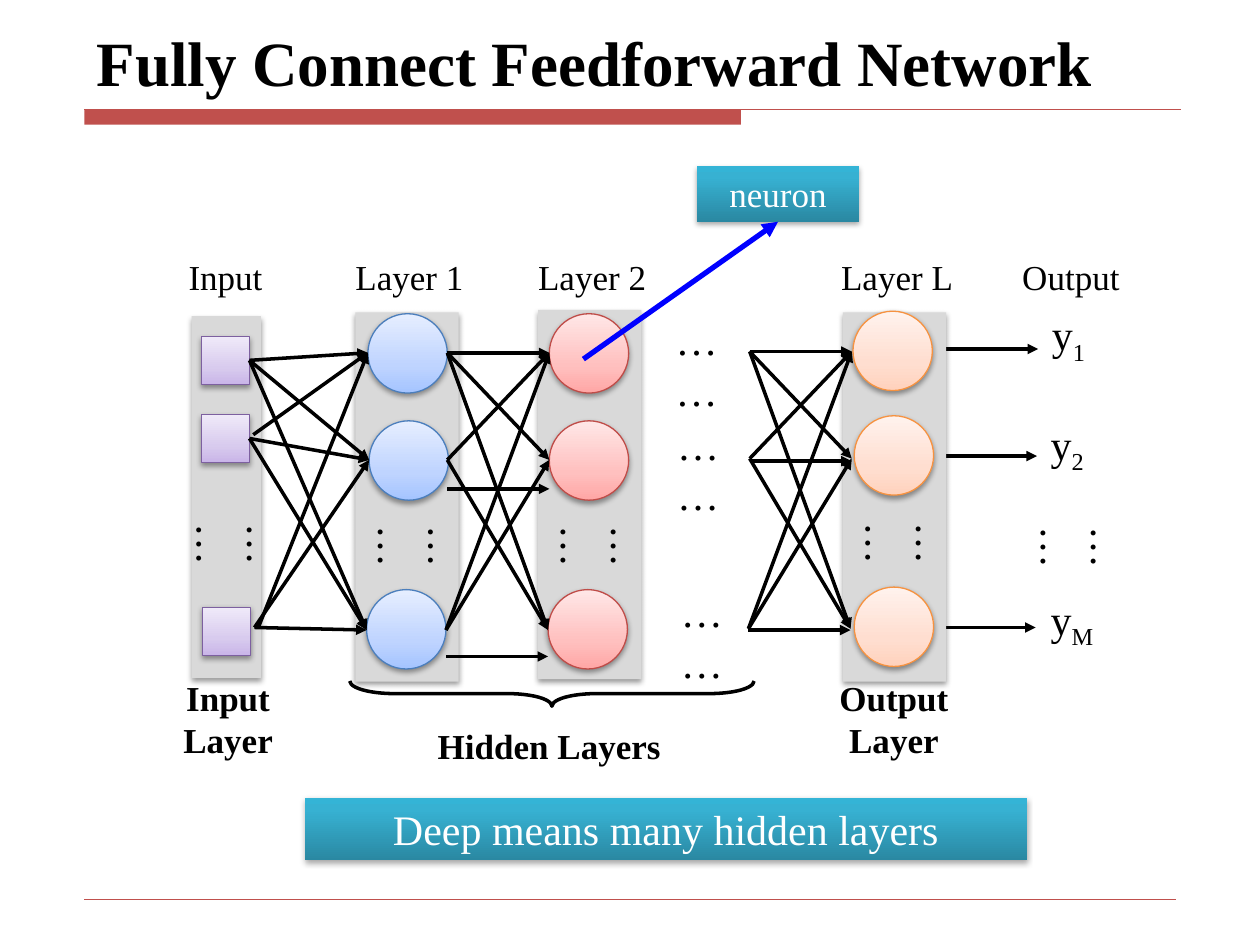
from copy import deepcopy
from dataclasses import dataclass

from lxml.etree import SubElement
from pptx import Presentation
from pptx.dml.color import RGBColor
from pptx.enum.shapes import MSO_CONNECTOR as Connector, MSO_SHAPE as Shape
from pptx.enum.text import MSO_ANCHOR as Anchor, MSO_AUTO_SIZE as AutoSize, PP_ALIGN as Align
from pptx.oxml.ns import qn
from pptx.util import Pt

SCALE = 9144  # EMU in one px, at 100 px to the inch
RIGHT, BOTTOM = 3, 2


@dataclass(frozen=True)
class Theme:
    font: str = "Times New Roman"
    title: int = 36
    large: int = 24
    label: int = 20
    ink: str = "000000"
    white: str = "FFFFFF"
    accent: str = "C0504D"
    pointer: str = "0000FF"
    band: str = "D9D9D9"
    # Gradients run upwards as (position, colour)
    purple: tuple = ((0, "C9B5E8"), (0.35, "D8CBEE"), (1, "F0EAF9"))
    purple_line: str = "7D60A0"
    blue: tuple = ((0, "A4C4FF"), (0.35, "BFD4FF"), (1, "E6EEFF"))
    blue_line: str = "4B7EBC"
    red: tuple = ((0, "FFA6A5"), (0.35, "FFC0BF"), (1, "FFE7E7"))
    red_line: str = "BF4C48"
    orange: tuple = ((0, "FFD2BD"), (0.35, "FFDED0"), (1, "FFF2ED"))
    orange_line: str = "F69240"
    teal: tuple = ((0, "2A88A2"), (0.8, "37B1D2"), (1, "34B4D6"))


def emu(*lengths):
    return [length * SCALE for length in lengths]


class Canvas:
    def __init__(self, slide, theme):
        self.slide = slide
        self.theme = theme

    def fill_frame(self, frame, runs, size, color, bold=False, align=Align.CENTER):
        """Fill a text frame from (text, is_subscript) runs."""
        frame.word_wrap = True
        frame.vertical_anchor = Anchor.TOP
        paragraph = frame.paragraphs[0]
        paragraph.alignment = align
        for text, subscript in runs:
            run = paragraph.add_run()
            run.text = text
            run.font.name = self.theme.font
            run.font.size = Pt(size)
            run.font.bold = bold
            run.font.color.rgb = RGBColor.from_string(color)
            if subscript:
                run.font._element.set("baseline", "-25000")

    def text(self, box, *runs, size=None, bold=False, align=Align.CENTER, rotation=0):
        shape = self.slide.shapes.add_textbox(*emu(*box))
        shape.rotation = rotation
        self.fill_frame(shape.text_frame, runs, size or self.theme.label,
                        self.theme.ink, bold, align)
        shape.text_frame.auto_size = AutoSize.SHAPE_TO_FIT_TEXT
        return shape

    def dots(self, left, top, rotation=0):
        self.text((left, top, 84, 91), ("……", False), size=self.theme.large, rotation=rotation)

    def shape(self, kind, box, fill=None, line=None, width=0.75, shadow=0):
        """Draw a preset shape; shadow is its opacity in percent."""
        shape = self.slide.shapes.add_shape(kind, *emu(*box))
        if fill is None:
            shape.fill.background()
        elif isinstance(fill, str):
            shape.fill.solid()
            shape.fill.fore_color.rgb = RGBColor.from_string(fill)
        else:
            self.gradient(shape, fill)
        if line:
            shape.line.color.rgb = RGBColor.from_string(line)
            shape.line.width = Pt(width)
        else:
            shape.line.fill.background()
        shape.shadow.inherit = False
        if shadow:
            effects = shape._element.spPr.find(qn("a:effectLst"))
            outer = SubElement(effects, qn("a:outerShdw"), blurRad="40000", dist="20000",
                               dir="5400000", rotWithShape="0")
            color = SubElement(outer, qn("a:srgbClr"), val=self.theme.ink)
            SubElement(color, qn("a:alpha"), val=str(shadow * 1000))
        return shape

    def gradient(self, shape, stops):
        shape.fill.gradient()
        shape.fill.gradient_angle = 90
        stop_list = shape._element.spPr.find(qn("a:gradFill")).find(qn("a:gsLst"))
        stop_list.append(deepcopy(stop_list[-1]))
        for stop, (position, color) in zip(shape.fill.gradient_stops, stops):
            stop.position = position
            stop.color.rgb = RGBColor.from_string(color)

    def banner(self, box, text, size):
        shape = self.shape(Shape.RECTANGLE, box, self.theme.teal, shadow=35)
        self.fill_frame(shape.text_frame, [(text, False)], size, self.theme.white)
        return shape

    def line(self, start, end, color=None, width=2, arrow=True):
        connector = self.slide.shapes.add_connector(Connector.STRAIGHT, *emu(*start, *end))
        connector.line.color.rgb = RGBColor.from_string(color or self.theme.ink)
        connector.line.width = Pt(width)
        properties = connector._element.spPr
        if arrow:
            SubElement(properties.find(qn("a:ln")), qn("a:tailEnd"), type="triangle")
        SubElement(properties, qn("a:effectLst"))
        return connector

    def layer(self, name, left, top, circles, fill, line):
        self.shape(Shape.RECTANGLE, (left, top, 82, 293), self.theme.band, shadow=38)
        self.text((left - 19, 198, 124, 44), (name, False))
        for circle in circles:
            self.shape(Shape.OVAL, (*circle, 63, 63), fill, line, shadow=38)
        self.dots(left + 9, circles[0][1] + 139, rotation=90)

    def mesh(self, left, top, drops):
        """Join three nodes to three nodes; drops lower the level arrows."""
        nodes = ((left, top), (left, top + 85), (left - 1, top + 220))
        for row, (x, y) in enumerate(nodes):
            for target, (end_x, end_y) in enumerate(nodes):
                drop = drops[row] if row == target else 0
                self.line((x, y + drop), (end_x + 81, end_y + drop))


def main():
    presentation = Presentation()
    presentation.slide_width, presentation.slide_height = emu(1000, 750)
    theme = Theme()
    canvas = Canvas(presentation.slides.add_slide(presentation.slide_layouts[6]), theme)

    canvas.shape(Shape.RECTANGLE, (67, 87, 521, 12), theme.accent)
    canvas.line((67, 87), (937, 87), theme.accent, 0.75, arrow=False)
    canvas.line((67, 714), (933, 714), theme.accent, 0.25, arrow=False)
    title = canvas.text((67, 21, 874, 63), ("Fully Connect Feedforward Network", False),
                        size=theme.title, bold=True, align=Align.LEFT)
    title.text_frame.auto_size = AutoSize.NONE
    title.text_frame.vertical_anchor = Anchor.BOTTOM

    for text, box in (("Output Layer", (646, 532, 127, 77)),
                      ("Hidden Layers", (323, 570, 226, 44)),
                      ("Input Layer", (130, 532, 102, 77))):
        canvas.text(box, (text, False), bold=True)
    brace = canvas.shape(Shape.RIGHT_BRACE, (428, 390, 20, 321), line=theme.ink, width=2)
    brace.rotation = 90
    brace.adjustments[0] = 1.76

    canvas.shape(Shape.RECTANGLE, (152, 251, 55, 287), theme.band, shadow=38)
    for text, left in (("Input", 117), ("Output", 788)):
        canvas.text((left, 198, 124, 44), (text, False))
    for start, end in (((711, 362), (823, 362)), ((723, 498), (822, 498)),
                       ((709, 277), (824, 277))):
        canvas.line(start, end)
    inputs = [canvas.shape(Shape.RECTANGLE, (left, top, 38, 38), theme.purple,
                           theme.purple_line, shadow=38)
              for left, top in ((160, 267), (160, 329), (161, 482))]
    canvas.dots(147, 387, rotation=90)

    canvas.layer("Layer 1", 282, 248, ((292, 249), (293, 334), (291, 468)),
                 theme.blue, theme.blue_line)
    canvas.layer("Layer 2", 427, 246, ((436, 249), (436, 334), (435, 468)),
                 theme.red, theme.red_line)
    canvas.layer("Layer L", 669, 248, ((677, 247), (678, 330), (678, 466)),
                 theme.orange, theme.orange_line)
    for left, top in ((511, 244), (512, 327), (515, 460)):
        canvas.dots(left, top)

    # None starts the arrow at the middle of the input's right side
    targets = ((292, 280), (293, 365), (291, 500))
    input_starts = ((None, None, None), ((201, 345), None, None),
                    ((205, 498), (202, 498), (202, 498)))
    for square, starts in zip(inputs, input_starts):
        for start, target in zip(starts, targets):
            arrow = canvas.line(start or target, target)
            if start is None:
                arrow.begin_connect(square, RIGHT)
    canvas.mesh(355, 280, (0, 23, 21))
    canvas.mesh(595, 279, (0, 2, 1))

    canvas.dots(817, 389, rotation=90)
    for index, left, top in (("1", 825, 240), ("2", 824, 327), ("M", 824, 466)):
        canvas.text((left, top, 69, 50), ("y", False), (index, True),
                    size=theme.large, align=Align.LEFT)

    canvas.banner((242, 633, 573, 50), "Deep means many hidden layers", theme.large)
    neuron = canvas.banner((553, 132, 129, 44), "neuron", theme.label)
    pointer = canvas.line((463, 285), (618, 176), theme.pointer, 3)
    pointer.end_connect(neuron, BOTTOM)

    presentation.save("out.pptx")


if __name__ == "__main__":
    main()
